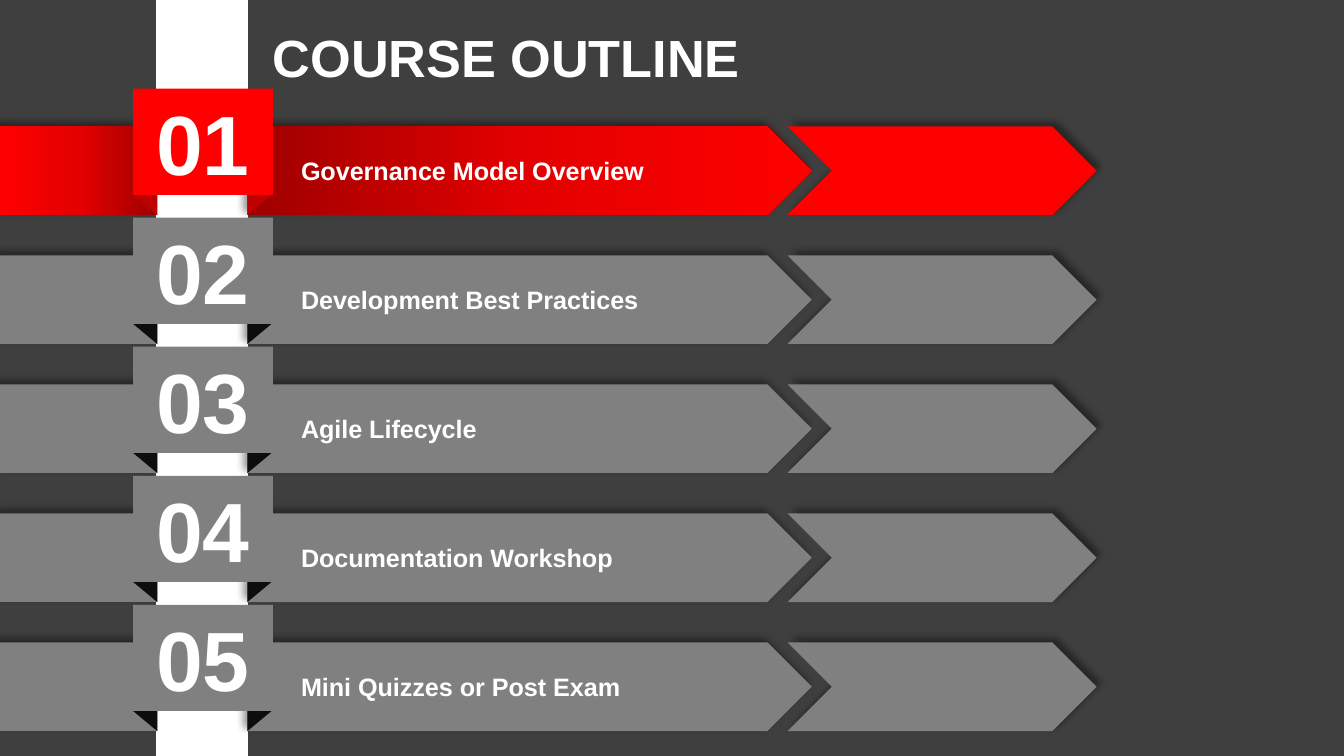
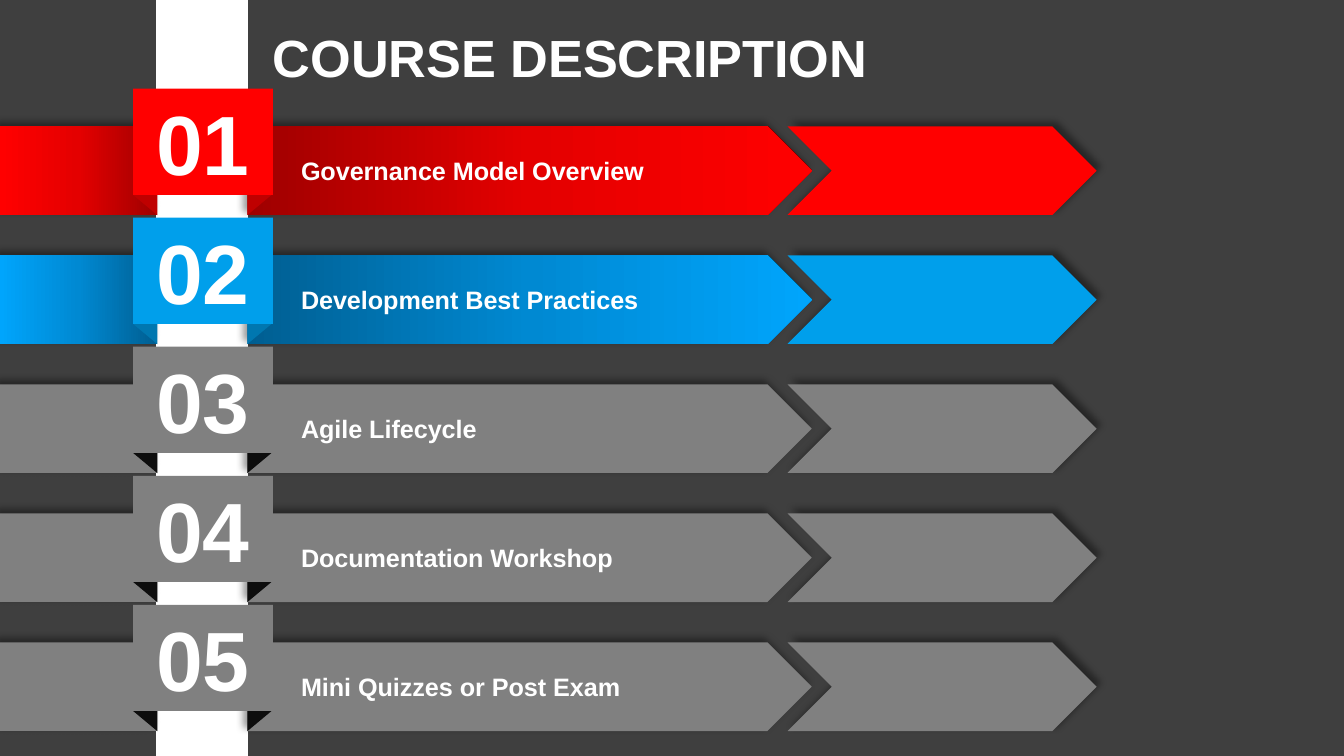
from copy import deepcopy

from lxml import etree
from pptx import Presentation
from pptx import util as u
from pptx.dml.color import RGBColor
from pptx.enum import shapes, text
from pptx.oxml.ns import qn

DARK = RGBColor(0x3F, 0x3F, 0x3F)
WHITE = RGBColor(0xFF, 0xFF, 0xFF)
GREY = RGBColor(0x80, 0x80, 0x80)
BLACK = RGBColor(0x0D, 0x0D, 0x0D)
RED = RGBColor(0xFF, 0x00, 0x00)
RED_FOLD = RGBColor(0xBF, 0x00, 0x00)
RED_BAND = (RGBColor(0x9E, 0, 0), RGBColor(0xE4, 0, 0), RED)
BLUE = RGBColor(0x00, 0x9F, 0xEB)
BLUE_FOLD = RGBColor(0x00, 0x77, 0xB0)
BLUE_BAND = (RGBColor(0, 0x5E, 0x91), RGBColor(0, 0x89, 0xD2), RGBColor(0, 0xA5, 0xFC))

THEMES = {
    "red": {"badge": RED, "fold": RED_FOLD, "band": RED_BAND},
    "blue": {"badge": BLUE, "fold": BLUE_FOLD, "band": BLUE_BAND},
    "grey": {"badge": GREY, "fold": BLACK, "band": GREY},
}
TOPICS = [
    "Governance Model Overview",
    "Development Best Practices",
    "Agile Lifecycle",
    "Documentation Workshop",
    "Mini Quizzes or Post Exam",
]
SLIDES = [
    ("COURSE OUTLINE", ["red", "grey", "grey", "grey", "grey"]),
    ("COURSE DESCRIPTION", ["red", "blue", "grey", "grey", "grey"]),
]

SLIDE_WIDTH = 10
SLIDE_HEIGHT = SLIDE_WIDTH * 9 / 16
STRIP_LEFT, STRIP_WIDTH = 1.17, 0.67
STRIP_RIGHT = STRIP_LEFT + STRIP_WIDTH
FIRST_TOP, ROW_PITCH = 0.66, 0.96
BADGE_WIDTH, BADGE_HEIGHT = 1.04, 0.79
FOLD_WIDTH, FOLD_HEIGHT = 0.18, 0.15
BADGE_LEFT = STRIP_LEFT - FOLD_WIDTH
BAND_OFFSET, BAND_HEIGHT = 0.28, 0.66
BAND_WIDTH = 4.2
CHEVRON_LEFT, CHEVRON_WIDTH = 5.86, 2.3
LABEL_INDENT = 0.33
TITLE_BOX = (1.93, 0.09, 9.32, 0.63)

TITLE_FONT = {"name": "Arial", "size": u.Pt(28), "bold": True}
LABEL_FONT = {"name": "Arial", "size": u.Pt(13.5), "bold": True}
NUMBER_FONT = {"name": "Arial", "size": u.Pt(45), "bold": True}
TITLE_FRAME = {
    "word_wrap": True,
    "vertical_anchor": text.MSO_ANCHOR.TOP,
    "auto_size": text.MSO_AUTO_SIZE.NONE,
}
SHAPE_FRAME = {"word_wrap": True, "vertical_anchor": text.MSO_ANCHOR.MIDDLE}


def set_attributes(target, values):
    for name, value in values.items():
        setattr(target, name, value)


def write_text(shape, words, font, frame_format, margins, alignment):
    frame = shape.text_frame
    frame.text = words
    set_attributes(frame, frame_format)
    for side, margin in zip(("left", "top", "right", "bottom"), margins * 2):
        setattr(frame, f"margin_{side}", u.Inches(margin))
    paragraph = frame.paragraphs[0]
    paragraph.alignment = alignment
    set_attributes(paragraph.font, font)
    paragraph.font.color.rgb = WHITE
    return paragraph


def paint(shape, fill, angle):
    if isinstance(fill, RGBColor):
        shape.fill.solid()
        shape.fill.fore_color.rgb = fill
        return
    shape.fill.gradient()
    shape.fill.gradient_angle = angle
    stop_list = next(shape._element.spPr.iter(qn("a:gsLst")))
    stop_list.insert(1, deepcopy(stop_list[0]))
    for stop, color, position in zip(shape.fill.gradient_stops, fill, (0, 0.5, 1)):
        stop.color.rgb = color
        stop.position = position


def cast_shadow(shape, direction):
    effects = shape._element.spPr.find(qn("a:effectLst"))
    shadow = etree.SubElement(
        effects, qn("a:outerShdw"), blurRad=str(u.Pt(4)), dist=str(u.Pt(3)),
        dir=str(direction * 60000), algn="ctr", rotWithShape="0")
    color = etree.SubElement(shadow, qn("a:srgbClr"), val="000000")
    etree.SubElement(color, qn("a:alpha"), val="40000")


def add_part(container, kind, box, fill, angle=0, shadow=None):
    preset = getattr(shapes.MSO_SHAPE, kind)
    shape = container.add_shape(preset, *map(u.Inches, box))
    shape.shadow.inherit = False
    paint(shape, fill, angle)
    shape.line.fill.background()
    if shadow is not None:
        cast_shadow(shape, shadow)
    return shape


def add_row(slide, number, topic, theme):
    top = FIRST_TOP + (number - 1) * ROW_PITCH
    band_top = top + BAND_OFFSET
    fold_top = top + BADGE_HEIGHT
    group = slide.shapes.add_group_shape().shapes

    banner = add_part(group, "PENTAGON", (STRIP_RIGHT, band_top, BAND_WIDTH, BAND_HEIGHT),
                      theme["band"], shadow=225)
    label = write_text(banner, topic, LABEL_FONT, SHAPE_FRAME, (0.07, 0.04), text.PP_ALIGN.LEFT)
    label._p.get_or_add_pPr().set("marL", str(u.Inches(LABEL_INDENT)))
    add_part(group, "RECTANGLE", (0, band_top, STRIP_LEFT, BAND_HEIGHT),
             theme["band"], angle=180, shadow=225)

    for left, flipped in ((STRIP_RIGHT, True), (BADGE_LEFT, False)):
        fold = add_part(group, "RIGHT_TRIANGLE", (left, fold_top, FOLD_WIDTH, FOLD_HEIGHT),
                        theme["fold"])
        fold.rotation = 180
        if flipped:
            fold._element.spPr.xfrm.set("flipH", "1")

    badge = add_part(group, "RECTANGLE", (BADGE_LEFT, top, BADGE_WIDTH, BADGE_HEIGHT),
                     theme["badge"])
    write_text(badge, f"{number:02d}", NUMBER_FONT, SHAPE_FRAME, (0.07, 0.04),
               text.PP_ALIGN.CENTER)
    add_part(slide.shapes, "CHEVRON", (CHEVRON_LEFT, band_top, CHEVRON_WIDTH, BAND_HEIGHT),
             theme["badge"], shadow=315)


def add_course_slide(presentation, heading, theme_names):
    slide = presentation.slides.add_slide(presentation.slide_layouts[5])
    title = slide.shapes.title
    for side, length in zip(("left", "top", "width", "height"), TITLE_BOX):
        setattr(title, side, u.Inches(length))
    write_text(title, heading, TITLE_FONT, TITLE_FRAME, (0.1, 0.1), text.PP_ALIGN.LEFT)

    strip = add_part(slide.shapes, "RECTANGLE", (STRIP_LEFT, 0, STRIP_WIDTH, SLIDE_HEIGHT), WHITE)
    strip.line.color.rgb = WHITE
    strip.line.width = u.Pt(1)
    for number, (topic, name) in enumerate(zip(TOPICS, theme_names), 1):
        add_row(slide, number, topic, THEMES[name])


def main():
    presentation = Presentation()
    presentation.slide_width = u.Inches(SLIDE_WIDTH)
    presentation.slide_height = u.Inches(SLIDE_HEIGHT)
    background = presentation.slide_master.background.fill
    background.solid()
    background.fore_color.rgb = DARK
    for heading, theme_names in SLIDES:
        add_course_slide(presentation, heading, theme_names)
    presentation.save("out.pptx")


if __name__ == "__main__":
    main()
